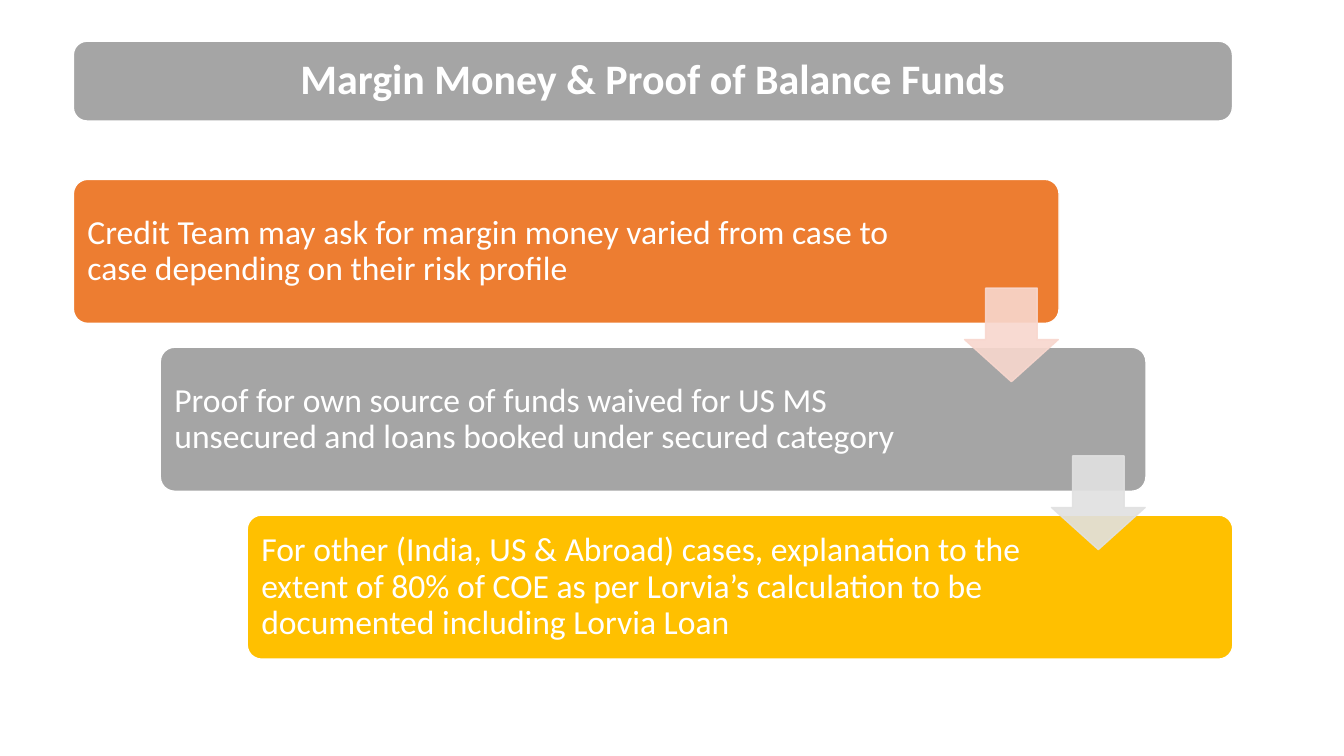
import pptx
import pptx.dml.color
import pptx.enum.shapes
import pptx.enum.text
import pptx.oxml.ns
import pptx.util
from lxml import etree

Cm = pptx.util.Cm
Pt = pptx.util.Pt
Shapes = pptx.enum.shapes.MSO_SHAPE
Align = pptx.enum.text.PP_ALIGN


def color(value):
    return pptx.dml.color.RGBColor.from_string(value)


class SlideBuilder:
    font_name = "Calibri"
    white = "FFFFFF"

    def __init__(self, slide):
        self.slide = slide

    def add_shape(self, kind, left, top, width, height, fill, line):
        shape = self.slide.shapes.add_shape(kind, Cm(left), Cm(top), Cm(width), Cm(height))
        shape.shadow.inherit = False
        shape.fill.solid()
        shape.fill.fore_color.rgb = color(fill)
        shape.line.color.rgb = color(line)
        shape.line.width = Pt(1)
        return shape

    def add_panel(self, left, top, width, height, fill, text, size, corner=0.1,
                  inset=0.25, right_inset=0.25, align=Align.LEFT, bold=False):
        shape = self.add_shape(Shapes.ROUNDED_RECTANGLE, left, top, width, height, fill, self.white)
        shape.adjustments[0] = corner
        frame = shape.text_frame
        frame.word_wrap = True
        frame.vertical_anchor = pptx.enum.text.MSO_ANCHOR.MIDDLE
        frame.margin_left = frame.margin_top = frame.margin_bottom = Cm(inset)
        frame.margin_right = Cm(right_inset)
        paragraph = frame.paragraphs[0]
        paragraph.text = text
        paragraph.alignment = align
        paragraph.line_spacing = 0.9
        paragraph.font.name = self.font_name
        paragraph.font.size = Pt(size)
        paragraph.font.bold = bold
        paragraph.font.color.rgb = color(self.white)

    def add_arrow(self, left, top, size, fill, opacity=90):
        arrow = self.add_shape(Shapes.DOWN_ARROW, left, top, size, size, fill, fill)
        arrow.adjustments[0] = 0.55
        arrow.adjustments[1] = 0.45
        for element in arrow.element.spPr.iter(pptx.oxml.ns.qn("a:srgbClr")):
            alpha = etree.SubElement(element, pptx.oxml.ns.qn("a:alpha"))
            alpha.set("val", str(opacity * 1000))


STEPS = [
    ("ED7D31", 3.99, "Credit Team may ask for margin money varied from case to case "
     "depending on their risk profile"),
    ("A5A5A5", 4.83, "Proof for own source of funds waived for US MS unsecured and loans "
     "booked under secured category"),
    ("FFC000", 4.83, "For other (India, US & Abroad) cases, explanation to the extent of 80% "
     "of COE as per Lorvia’s calculation to be documented including Lorvia Loan"),
]
ARROW_FILLS = ["F8D7CE", "E1E1E1"]
LEFT = 1.85
STEP_TOP = 4.52
STEP_RIGHT = 2.19
STEP_DOWN = 4.23


def main():
    presentation = pptx.Presentation()
    presentation.slide_width = Cm(33.87)
    presentation.slide_height = Cm(19.05)
    builder = SlideBuilder(presentation.slides.add_slide(presentation.slide_layouts[6]))

    builder.add_panel(LEFT, 1.04, 29.21, 2.01, "A5A5A5", "Margin Money & Proof of Balance Funds",
                      30, corner=0.17, inset=0.3, right_inset=0.3, align=Align.CENTER, bold=True)
    for index, (fill, right_inset, text) in enumerate(STEPS):
        builder.add_panel(LEFT + index * STEP_RIGHT, STEP_TOP + index * STEP_DOWN, 24.84, 3.63,
                          fill, text, 24, right_inset=right_inset)
    for index, fill in enumerate(ARROW_FILLS):
        builder.add_arrow(24.31 + index * STEP_RIGHT, 7.26 + index * STEP_DOWN, 2.36, fill)

    presentation.save("out.pptx")


if __name__ == "__main__":
    main()
